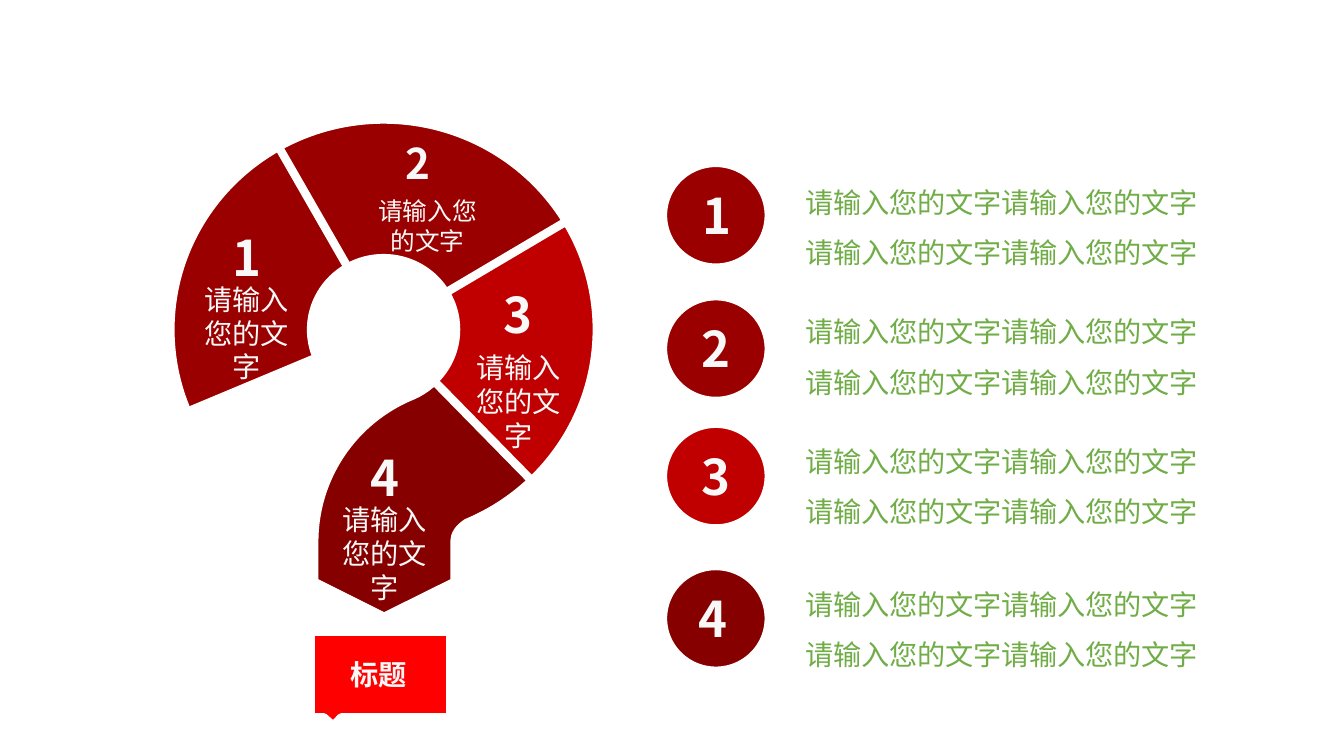
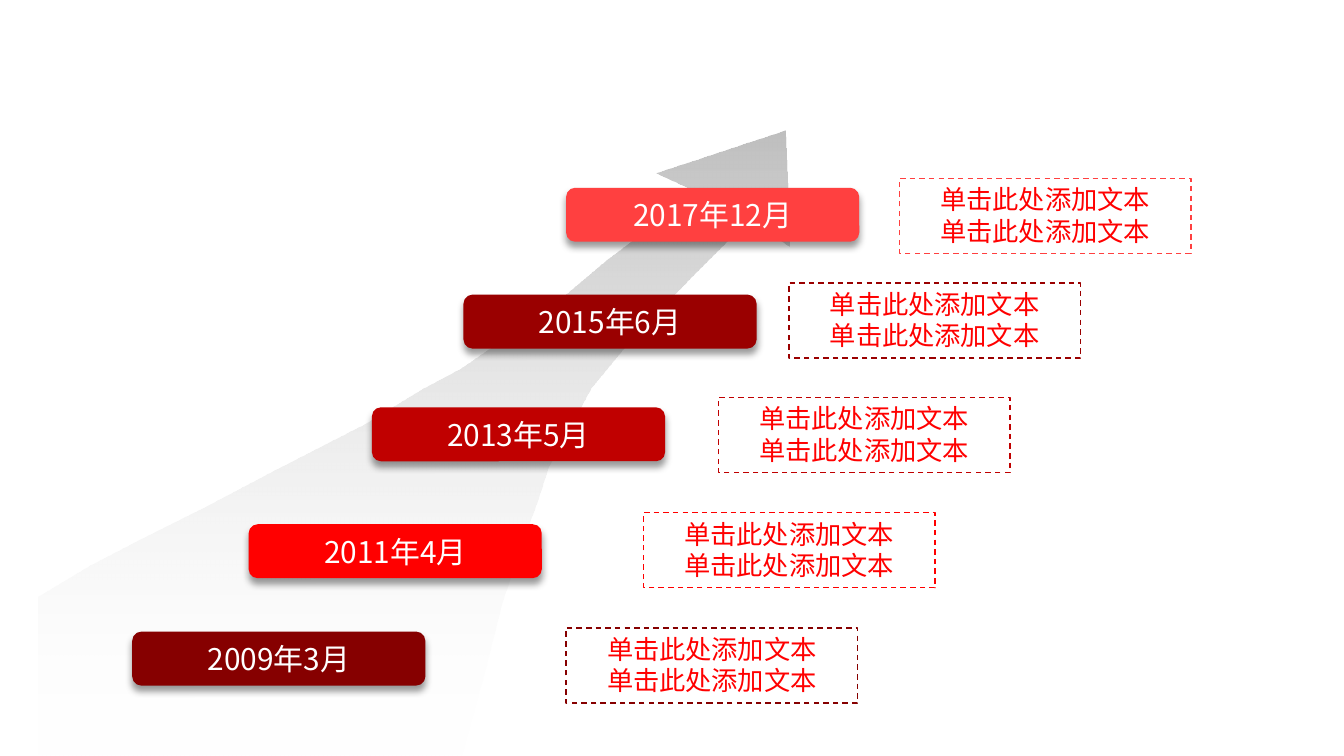
import math
from collections import namedtuple

from lxml import etree
from pptx import Presentation
from pptx.dml.color import RGBColor
from pptx.enum.dml import MSO_LINE
from pptx.enum.shapes import MSO_SHAPE
from pptx.enum.text import MSO_ANCHOR, MSO_AUTO_SIZE, PP_ALIGN
from pptx.oxml.ns import qn
from pptx.util import Cm, Pt

ELLIPSE, RECTANGLE, ROUNDED = MSO_SHAPE.OVAL, MSO_SHAPE.RECTANGLE, MSO_SHAPE.ROUNDED_RECTANGLE
LEFT, CENTER = PP_ALIGN.LEFT, PP_ALIGN.CENTER
TOP, MIDDLE = MSO_ANCHOR.TOP, MSO_ANCHOR.MIDDLE
GROW, FIXED = MSO_AUTO_SIZE.SHAPE_TO_FIT_TEXT, MSO_AUTO_SIZE.NONE
DASH = MSO_LINE.DASH

FONT = "Noto Sans CJK SC"
COLORS = {
    "maroon": "860000",
    "dark red": "9A0000",
    "red": "C00000",
    "bright red": "FF0000",
    "light red": "FF4040",
    "green": "70AD47",
    "grey": "BFBFBF",
    "off white": "F8F8F8",
    "white": "FFFFFF",
    "black": "000000",
}
WIDE_INSETS, TIGHT_INSETS, BAR_INSETS = (0.25, 0.13), (0.18, 0.1), (0.23, 0.1)
BODY_SIZE, NOTE_SIZE = 15.05, 14.05

Box = namedtuple("Box", "left top width height")

PROMPT = "请输入您的文字"
STEP_COLORS = ["dark red", "dark red", "red", "maroon"]
# Number position, caption position, number size, caption size, caption height
STEP_LABELS = [
    ((0.92, 1.9), (0.24, 2.95), 26.3, BODY_SIZE, 2.18),
    ((4.2, 0.2), (3.66, 1.32), 22.6, 13.2, 1.37),
    ((6.05, 2.99), (5.37, 4.24), 26.3, BODY_SIZE, 2.18),
    ((3.54, 6.07), (2.85, 7.11), 26.3, BODY_SIZE, 2.18),
]
# Badge top, text top, number left
BADGE_ROWS = [(3.08, 3.08, 13.03), (5.6, 5.53, 13), (8.01, 7.98, 13), (10.7, 10.68, 12.95)]

ARROW_OUTLINE = [
    (0, 8.81), (0.97, 8.23), (1.98, 7.7), (3.07, 7.16), (4.45, 6.43),
    (6.15, 5.56), (7.24, 4.9), (7.98, 4.5), (8.99, 3.81), (9.91, 3.15),
    (10.72, 2.46), (11.38, 1.96), (12.37, 1.14), (11.66, 0.81), (14.12, 0),
    (14.2, 2.21), (13.41, 1.7), (12.45, 2.67), (11.28, 3.86), (10.44, 4.88),
    (10.06, 5.59), (9.65, 6.35), (9.42, 7.04), (9.19, 7.67), (8.76, 8.94),
    (8.46, 10.13), (8.2, 11.07), (7.9, 12.19), (0, 12.19),
]
# Date, colour, bar position, note position
MILESTONES = [
    ("2011年4月", "bright red", (4.7, 9.91), (12.16, 9.69)),
    ("2013年5月", "red", (7.03, 7.7), (13.58, 7.51)),
    ("2015年6月", "dark red", (8.76, 5.57), (14.91, 5.35)),
    ("2017年12月", "light red", (10.7, 3.55), (17, 3.37)),
    ("2009年3月", "maroon", (2.5, 11.94), (10.7, 11.87)),
]


def rgb(color):
    return RGBColor.from_string(COLORS[color])


def paint(shape, fill=None, line=None, line_width=4.5, dash=None):
    """Set fill and outline, where None means invisible, and drop the shadow."""
    shape.shadow.inherit = False
    if fill:
        shape.fill.solid()
        shape.fill.fore_color.rgb = rgb(fill)
    else:
        shape.fill.background()
    if line:
        shape.line.color.rgb = rgb(line)
        shape.line.width = Pt(line_width)
        if dash:
            shape.line.dash_style = dash
    else:
        shape.line.fill.background()


def write(shape, text, size, color="off white", bold=False, align=LEFT, anchor=TOP,
          insets=WIDE_INSETS, wrap=True, spacing=None, fit=GROW):
    frame = shape.text_frame
    frame.word_wrap = wrap
    frame.auto_size = fit
    frame.vertical_anchor = anchor
    frame.margin_left = frame.margin_right = Cm(insets[0])
    frame.margin_top = frame.margin_bottom = Cm(insets[1])
    for index, content in enumerate(text.split("\n")):
        para = frame.add_paragraph() if index else frame.paragraphs[0]
        para.alignment = align
        if spacing:
            para.line_spacing = spacing
        span = para.add_run()
        span.text = content
        font = span.font
        font.name, font.size, font.bold = FONT, Pt(size), bold
        font.color.rgb = rgb(color)
        east_asian = etree.SubElement(span._r.get_or_add_rPr(), qn("a:ea"))
        east_asian.set("typeface", FONT)


def add_text(shapes, box, text, size, **style):
    write(shapes.add_textbox(*map(Cm, box)), text, size, **style)


def add_shape(shapes, kind, box, **style):
    shape = shapes.add_shape(kind, *map(Cm, box))
    paint(shape, **style)
    return shape


def lines(*points):
    return [(point,) for point in points]


def add_outline(page, box, segments):
    """Draw a closed outline; a segment is one point (line) or three (Bézier curve)."""
    placed = [[(Cm(box.left + x), Cm(box.top + y)) for x, y in segment]
              for segment in segments]
    builder = page.shapes.build_freeform(*placed[0][-1])
    builder.add_line_segments([segment[-1] for segment in placed[1:]], close=True)
    shape = builder.convert_to_shape()
    straight = shape._element.findall(".//" + qn("a:lnTo"))
    for element, segment in zip(straight, placed[1:]):
        if len(segment) == 3:
            element.addnext(curve := etree.Element(qn("a:cubicBezTo")))
            for x, y in segment:
                etree.SubElement(curve, qn("a:pt"), x=str(x - shape.left),
                                 y=str(y - shape.top))
            element.getparent().remove(element)
    return shape


def arc(center, radii, start, end):
    """Start point and curves of an elliptic arc, in degrees clockwise from the right."""
    def at(angle, slope=0.0):
        cos, sin = math.cos(math.radians(angle)), math.sin(math.radians(angle))
        return (center[0] + radii[0] * (cos - slope * sin),
                center[1] + radii[1] * (sin + slope * cos))

    low, high = sorted((start, end))
    stops = [low, *(a for a in range(0, 720, 90) if low < a < high), high]
    if start > end:
        stops.reverse()
    segments = lines(at(start))
    for first, last in zip(stops, stops[1:]):
        reach = 4 / 3 * math.tan(math.radians(last - first) / 4)
        segments.append((at(first, reach), at(last, -reach), at(last)))
    return segments


def draw_question_mark(page, box):
    center, outer, inner = (4.03, 3.97), (4.03, 3.97), (1.37, 1.35)
    stem_center, heel, stem = (5.7, 7.98), (0.33, 0.33), (2.98, 2.98)

    def ring(start, end):
        return arc(center, outer, start, end) + arc(center, inner, end, start)

    whole = (
        arc(center, outer, 157, 427)
        + arc(stem_center, heel, 248, 180)[1:]
        + lines((5.37, 8.74), (4.04, 9.4), (2.72, 8.74))
        + arc(stem_center, stem, 180, 248)
        + arc(center, inner, 427, 157)[1:]
    )
    parts = [(whole, 3), (ring(240, 331), 1), (ring(329, 406), 2), (ring(157, 240.5), 0)]
    for segments, step in parts:
        paint(add_outline(page, box, segments), STEP_COLORS[step], "white")

    for number, label in enumerate(STEP_LABELS, 1):
        (x, y), (caption_x, caption_y), number_size, caption_size, height = label
        shapes = page.shapes.add_group_shape().shapes
        add_text(shapes, Box(box.left + x, box.top + y, 0.99, 1.37), str(number),
                 number_size, bold=True, wrap=False)
        add_text(shapes, Box(box.left + caption_x, box.top + caption_y, 2.4, height),
                 PROMPT, caption_size, align=CENTER)


def draw_title_flag(page, box):
    base = box.height - 0.16
    outline = lines((0, 0), (box.width, 0), (box.width, base), (0.58, base),
                    (0.43, box.height), (0.25, base), (0, base))
    paint(add_outline(page, box, outline), "bright red", "white")
    add_text(page.shapes, Box(box.left + 0.08, box.top + 0.38, 2.4, 0.84), "标题",
             BODY_SIZE, bold=True, align=CENTER, insets=TIGHT_INSETS)


def draw_badge(page, box, number, number_left, color):
    shapes = page.shapes.add_group_shape().shapes
    add_shape(shapes, ELLIPSE, box, fill=color, line="white")
    add_text(shapes, Box(number_left, box.top + 0.29, 0.99, 1.37), str(number), 26.3,
             bold=True, wrap=False)


def set_alpha(color_element, percent):
    etree.SubElement(color_element, qn("a:alpha")).set("val", str(percent * 1000))


def add_soft_shadow(shape):
    effects = shape._element.spPr.find(qn("a:effectLst"))
    shadow = etree.SubElement(effects, qn("a:outerShdw"), blurRad=str(Pt(4)),
                              dist=str(Pt(3)), dir="5400000", rotWithShape="0")
    color = etree.SubElement(shadow, qn("a:srgbClr"), val=COLORS["black"])
    set_alpha(color, 40)


def draw_rising_arrow(page, box):
    arrow = add_outline(page, box, lines(*ARROW_OUTLINE))
    paint(arrow)
    arrow.fill.gradient()
    arrow.fill.gradient_angle = 270
    for stop, color in zip(arrow.fill.gradient_stops, ["grey", "white"]):
        stop.color.rgb = rgb(color)
    stops = arrow._element.spPr.findall(".//" + qn("a:gs"))
    set_alpha(stops[-1].find(qn("a:srgbClr")), 0)


def draw_date_bar(page, box, date, color):
    bar = add_shape(page.shapes, ROUNDED, box, fill=color)
    add_soft_shadow(bar)
    write(bar, date, 16, color="white", align=CENTER, anchor=MIDDLE,
          insets=BAR_INSETS, fit=FIXED)


def draw_note(page, box, color):
    note = add_shape(page.shapes, RECTANGLE, box, line=color, line_width=0.75, dash=DASH)
    write(note, "\n".join(["单击此处添加文本"] * 2), NOTE_SIZE, color="bright red",
          align=CENTER, insets=BAR_INSETS)


def question_slide(page):
    draw_title_flag(page, Box(5.87, 11.94, 2.64, 1.78))
    draw_question_mark(page, Box(3.22, 2.26, 8.06, 9.4))
    for number, (row, color) in enumerate(zip(BADGE_ROWS, STEP_COLORS), 1):
        badge_top, text_top, number_left = row
        draw_badge(page, Box(12.53, badge_top, 2, 1.98), number, number_left, color)
        add_text(page.shapes, Box(15.04, text_top, 8.41, 2.13), "\n".join([PROMPT * 2] * 2),
                 BODY_SIZE, color="green", insets=TIGHT_INSETS, spacing=1.5)


def timeline_slide(page):
    draw_rising_arrow(page, Box(0.72, 2.46, 14.2, 12.19))
    for date, color, bar_place, _ in MILESTONES:
        draw_date_bar(page, Box(*bar_place, 5.54, 1.02), date, color)
    for _, color, _, note_place in MILESTONES:
        draw_note(page, Box(*note_place, 5.51, 1.42), color)


def main():
    deck = Presentation()
    deck.slide_width, deck.slide_height = Cm(25.4), Cm(14.29)
    blank = deck.slide_layouts[6]
    for draw in (question_slide, timeline_slide):
        draw(deck.slides.add_slide(blank))
    deck.save("out.pptx")


if __name__ == "__main__":
    main()
